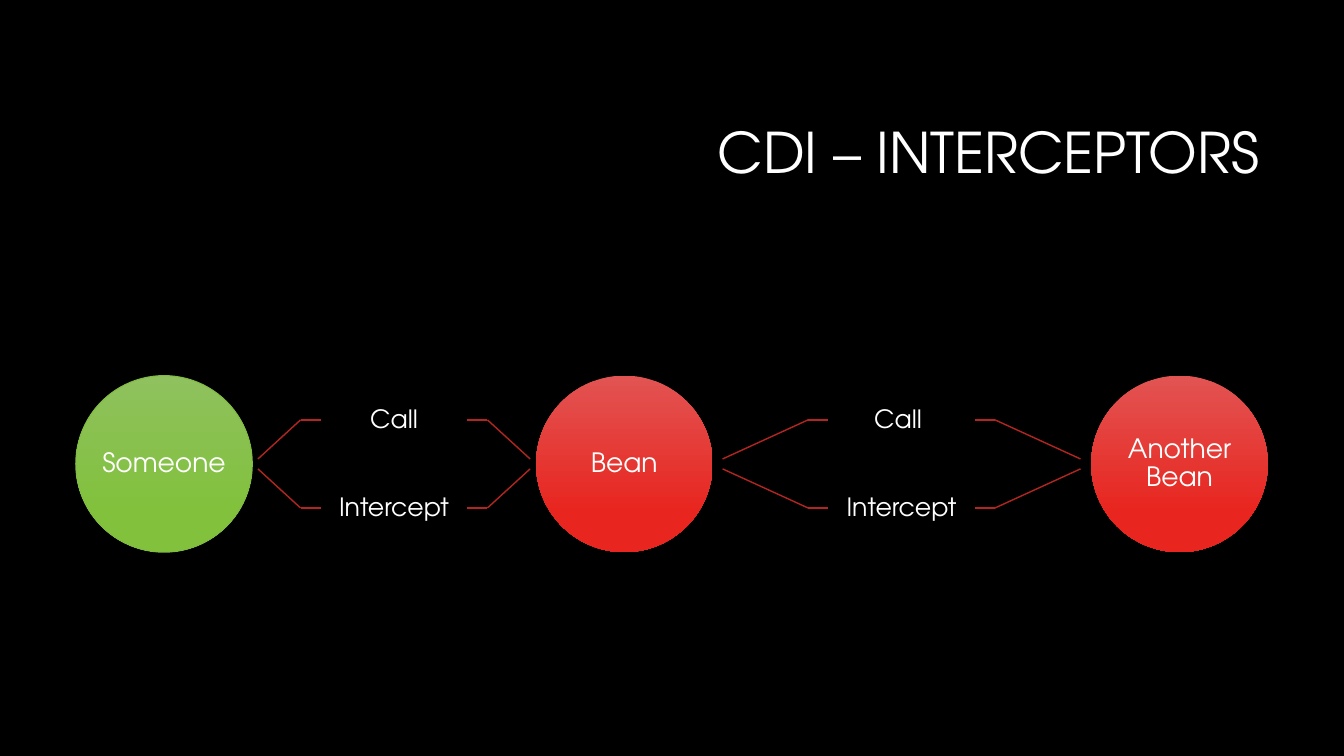
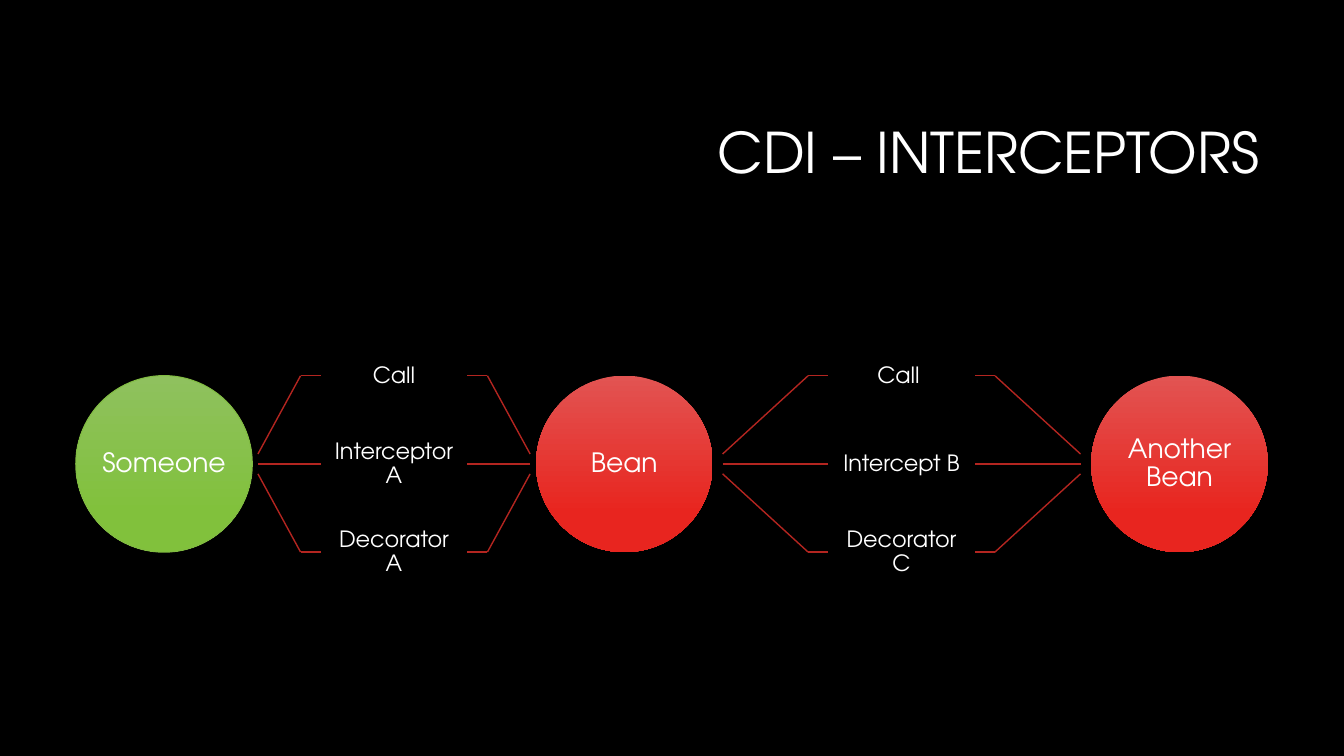
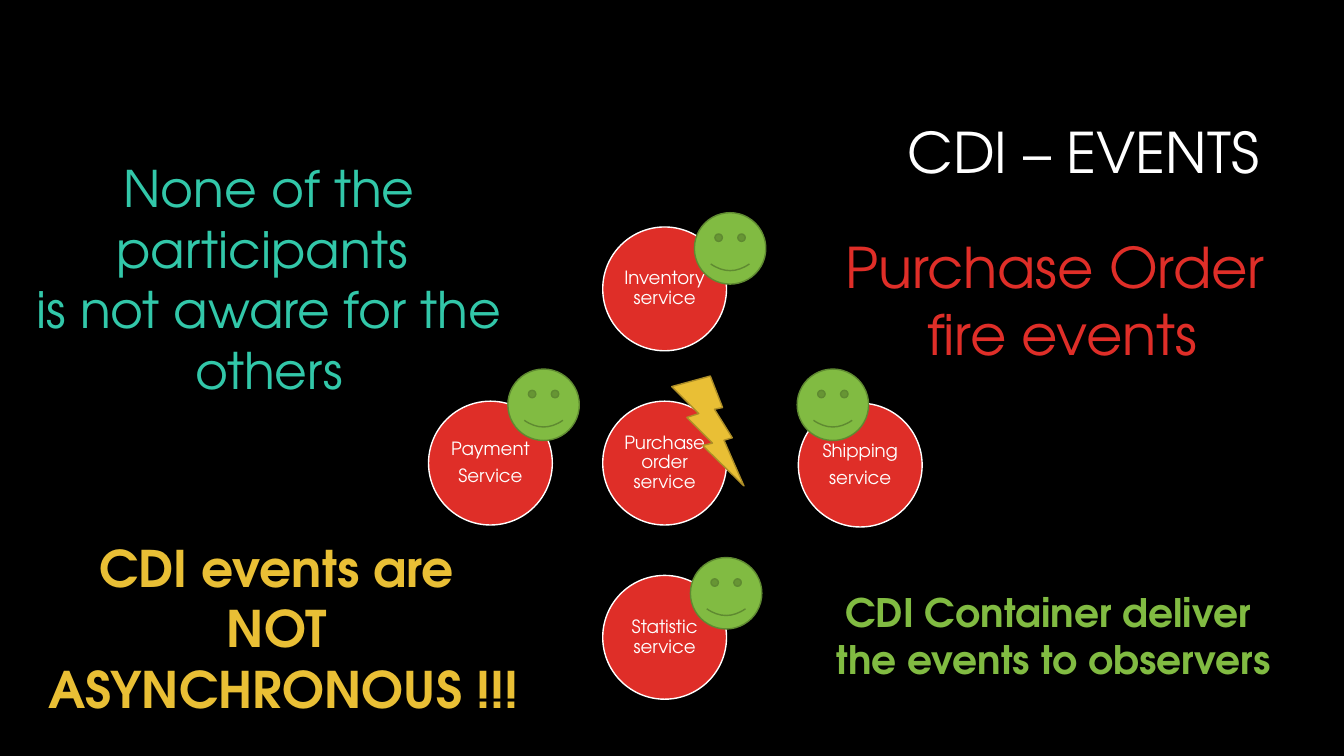
"""Build three slides on CDI interceptors and events."""
import dataclasses

import lxml.etree
import pptx
import pptx.dml.color
import pptx.enum.shapes
import pptx.enum.text
import pptx.oxml.ns
import pptx.util

Cm, Pt = pptx.util.Cm, pptx.util.Pt
RGB = pptx.dml.color.RGBColor.from_string
SHAPE = pptx.enum.shapes.MSO_SHAPE
ALIGN = pptx.enum.text.PP_ALIGN
ANCHOR = pptx.enum.text.MSO_ANCHOR
AUTO = pptx.enum.text.MSO_AUTO_SIZE


@dataclasses.dataclass(frozen=True)
class Theme:
    """Colours, typeface and type sizes."""
    font: str = "TeX Gyre Adventor"
    back: str = "000000"
    text: str = "FFFFFF"
    red: str = "DF2E28"
    green: str = "81BB42"
    green_edge: str = "5F8A31"
    gold: str = "E9BF35"
    gold_edge: str = "AC8D27"
    teal: str = "32C7A9"
    link: str = "B32520"
    green_fade: tuple = ("8FC15E", "81C13C")
    red_fade: tuple = ("E25452", "E8251F")
    title_pt: int = 40
    node_pt: int = 19
    service_pt: int = 13


T = Theme()
TITLE_BOX = (4.67, 2.13, 27.31, 3.58)

NODE_SIZE, NODE_MID = 4.45, 11.69
NODES = [
    ("Someone", 1.91, T.green_fade, T.green),
    ("Bean", 13.51, T.red_fade, None),
    ("Another Bean", 27.5, T.red_fade, None),
]
LINKS = [(6.5, 13.36), (18.21, 27.23)]
LABEL_W, ROW_H, STUB, FAN = 3.69, 2.22, 0.51, 0.25
FLOWS = [
    {"size": 18, "inset": 0.36,
     "labels": [["Call", "Intercept"], ["Call ", "Intercept"]]},
    {"size": 16, "inset": 0.3,
     "labels": [["Call", "Interceptor A", "Decorator A"],
                ["Call ", "Intercept B", "Decorator C"]]},
]

SERVICE_SIZE, HUB = 3.12, (16.75, 11.67)
SERVICES = [
    (["Purchase order service"], 0, 0),
    (["Inventory service"], 0, -4.39),
    (["Shipping", "service"], 4.93, 0.05),
    (["Statistic service"], 0, 4.39),
    (["Payment", "Service"], -4.39, 0),
]
BOLT_BOX, BOLT_TURN = (16.74, 9.5, 2.29, 2.54), 11.7
SMILEY_SIZE = 1.8
SMILEYS = [(20.09, 9.3), (17.4, 14.05), (12.8, 9.3), (17.5, 5.36)]
NOTES = [
    (["None of the participants ", "is not aware for the others"],
     (0.15, 3.84, 13.26, 6.4), 36, T.teal, False, True),
    (["Purchase Order ", "fire events"],
     (19.2, 5.74, 15.16, 3.68), 40, T.red, False, True),
    (["CDI Container deliver ", "the events to observers"],
     (20.73, 14.71, 11.63, 2.64), 28, T.green, True, False),
    (["CDI events are ", "NOT ", "ASYNCHRONOUS !!!"],
     (0.89, 13.41, 12.52, 4.88), 36, T.gold, True, False),
]


def apply(obj, values):
    """Set each named attribute."""
    for name, value in values.items():
        setattr(obj, name, value)


def write(tf, lines, size, color=T.text, bold=False, frame=None, **para):
    """Fill a text frame with one formatted paragraph per line."""
    apply(tf, {"word_wrap": True, **(frame or {})})
    for i, line in enumerate(lines):
        p = tf.paragraphs[0] if i == 0 else tf.add_paragraph()
        apply(p, {"alignment": ALIGN.CENTER, **para})
        r = p.add_run()
        r.text = line
        apply(r.font, {"name": T.font, "size": Pt(size), "bold": bold})
        r.font.color.rgb = RGB(color)


def insets(cm):
    """Return frame values for a centred text with equal margins."""
    sides = ("left", "top", "right", "bottom")
    return {"vertical_anchor": ANCHOR.MIDDLE,
            **{f"margin_{side}": Cm(cm) for side in sides}}


def draw(s, kind, box, fill, edge=None, width=1):
    """Add a preset shape with a solid or faded fill."""
    sp = s.shapes.add_shape(kind, *map(Cm, box))
    sp.shadow.inherit = False
    if isinstance(fill, tuple):
        sp.fill.gradient()
        sp.fill.gradient_angle = 270
        for stop, color, position in zip(sp.fill.gradient_stops, fill, (0, 0.78)):
            stop.color.rgb = RGB(color)
            stop.position = position
    else:
        sp.fill.solid()
        sp.fill.fore_color.rgb = RGB(fill)
    if edge:
        sp.line.color.rgb = RGB(edge)
        sp.line.width = Pt(width)
    else:
        sp.line.fill.background()
    return sp


def connect(s, *ends):
    """Add a straight link line."""
    c = s.shapes.add_connector(pptx.enum.shapes.MSO_CONNECTOR.STRAIGHT, *map(Cm, ends))
    c.line.color.rgb = RGB(T.link)
    c.line.width = Pt(1)
    lxml.etree.SubElement(c._element.spPr, pptx.oxml.ns.qn("a:effectLst"))


def add_slide(prs, title):
    """Add a slide with the shared title style."""
    s = prs.slides.add_slide(prs.slide_layouts[5])
    write(s.shapes.title.text_frame, [title], T.title_pt, alignment=ALIGN.RIGHT,
          line_spacing=0.9, frame={"vertical_anchor": ANCHOR.MIDDLE})
    return s


def add_flow(prs, flow):
    """Draw beans joined by fans of labelled links."""
    s = add_slide(prs, "CDI – INTERCEPTORS")
    for name, left, fade, edge in NODES:
        box = (left, NODE_MID - NODE_SIZE / 2, NODE_SIZE, NODE_SIZE)
        sp = draw(s, SHAPE.OVAL, box, fade, edge, 0.75)
        write(sp.text_frame, [name], T.node_pt, line_spacing=0.9, frame=insets(0))
    for (start, end), labels in zip(LINKS, flow["labels"]):
        left = (start + end - LABEL_W) / 2
        for i, label in enumerate(labels):
            step = i - (len(labels) - 1) / 2
            y, root = NODE_MID + step * ROW_H, NODE_MID + step * FAN
            for tip, side, out in ((start, left, -STUB), (end, left + LABEL_W, STUB)):
                connect(s, tip, root, side + out, y)
                connect(s, side + out, y, side, y)
            tb = s.shapes.add_textbox(*map(Cm, (left, y - ROW_H / 2, LABEL_W, ROW_H)))
            write(tb.text_frame, [label], flow["size"], line_spacing=0.9,
                  frame=insets(flow["inset"]))


def add_events(prs):
    """Draw the services, their observers and the notes."""
    s = add_slide(prs, "CDI – EVENTS")
    for lines, dx, dy in SERVICES:
        left, top = (mid + d - SERVICE_SIZE / 2 for mid, d in zip(HUB, (dx, dy)))
        sp = draw(s, SHAPE.OVAL, (left, top, SERVICE_SIZE, SERVICE_SIZE), T.red, T.text)
        write(sp.text_frame, lines, T.service_pt, line_spacing=0.9,
              space_after=Pt(5.5), frame=insets(0.05))
    bolt = draw(s, SHAPE.LIGHTNING_BOLT, BOLT_BOX, T.gold, T.gold_edge)
    bolt.rotation = BOLT_TURN
    for left, top in SMILEYS:
        draw(s, SHAPE.SMILEY_FACE, (left, top, SMILEY_SIZE, SMILEY_SIZE),
             T.green, T.green_edge)
    for lines, box, size, color, bold, wrap in NOTES:
        tb = s.shapes.add_textbox(*map(Cm, box))
        write(tb.text_frame, lines, size, color, bold,
              {"word_wrap": wrap, "auto_size": AUTO.SHAPE_TO_FIT_TEXT})


def main():
    """Set up the template and save the deck."""
    prs = pptx.Presentation()
    apply(prs, {"slide_width": Cm(33.87), "slide_height": Cm(19.05)})
    fill = prs.slide_master.background.fill
    fill.solid()
    fill.fore_color.rgb = RGB(T.back)
    title = prs.slide_layouts[5].placeholders[0]
    apply(title, dict(zip(("left", "top", "width", "height"), map(Cm, TITLE_BOX))))
    for flow in FLOWS:
        add_flow(prs, flow)
    add_events(prs)
    prs.save("out.pptx")


if __name__ == "__main__":
    main()
